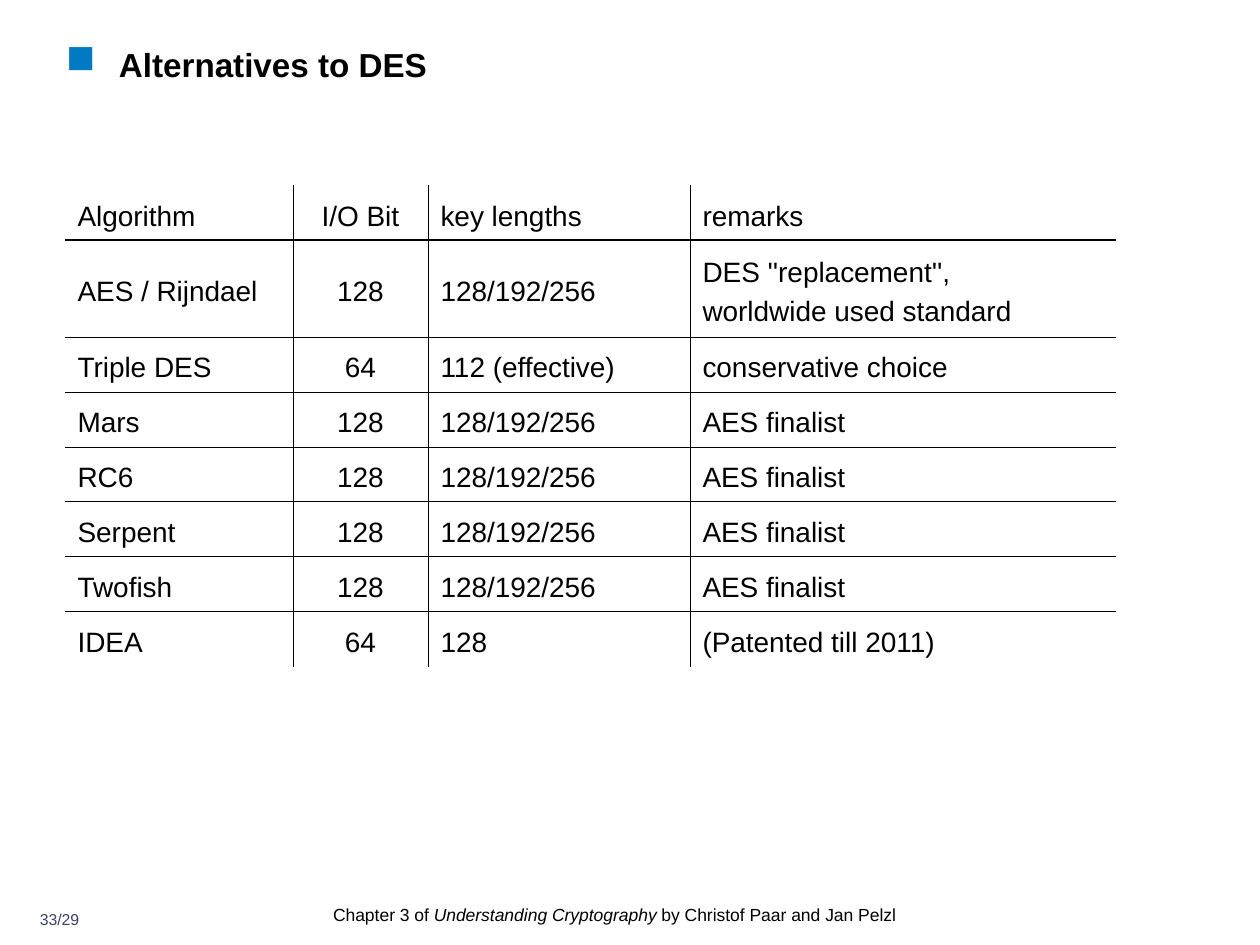
"""Build a slide with a table of alternatives to DES."""
import lxml.etree
import pptx
import pptx.dml.color
import pptx.enum.text
import pptx.oxml.ns
import pptx.util

SCALE = 914400 / 126
ALIGN = pptx.enum.text.PP_ALIGN
MIDDLE = pptx.enum.text.MSO_ANCHOR.MIDDLE
COLS = [228, 135, 262, 426]
ROWS = [
    ["Algorithm", "I/O Bit", "key lengths", "remarks"],
    ["AES / Rijndael", "128", "128/192/256",
     "DES ''replacement'', \vworldwide used standard"],
    ["Triple DES", "64", "112 (effective)", "conservative choice"],
    *[[name, "128", "128/192/256", "AES finalist"]
      for name in ("Mars", "RC6", "Serpent", "Twofish")],
    ["IDEA", "64", "128", "(Patented till 2011)"],
]


def px(num):
    """Turn pixels into EMU."""
    return pptx.util.Emu(round(num * SCALE))


def rgb(code):
    """Turn a hex string into a colour."""
    return pptx.dml.color.RGBColor.from_string(code)


def sub(node, tag, **attrs):
    """Add a DrawingML child element."""
    return lxml.etree.SubElement(node, pptx.oxml.ns.qn("a:" + tag), attrs)


def style(para, size, color="000000", bold=None):
    """Set the font of a paragraph."""
    font = para.font
    font.name, font.size, font.bold = "Arial", pptx.util.Pt(size), bold
    font.color.rgb = rgb(color)


def place(shape, left, top, width, height):
    """Place a text shape with no insets and return its first paragraph."""
    shape.left, shape.top = px(left), px(top)
    shape.width, shape.height = px(width), px(height)
    frame = shape.text_frame
    frame.margin_left = frame.margin_right = 0
    frame.margin_top = frame.margin_bottom = 0
    frame.word_wrap = True
    frame.auto_size = pptx.enum.text.MSO_AUTO_SIZE.NONE
    frame.vertical_anchor = pptx.enum.text.MSO_ANCHOR.TOP
    return frame.paragraphs[0]


def add_title(slide, text):
    """Fill the title and give it a square bullet."""
    para = place(slide.shapes.title, 66, 44, 891, 71)
    para.text, para.alignment = text, ALIGN.LEFT
    para.space_before = pptx.util.Pt(4.8)
    props = para._p.get_or_add_pPr()
    props.set("marL", str(px(53)))
    props.set("indent", str(px(-53)))
    sub(sub(props, "buClr"), "srgbClr", val="007AC2")
    sub(props, "buSzPct", val="120000")
    sub(props, "buChar", char="■")
    style(para, 19, bold=True)


def add_text(slide, box, parts, size, color="000000"):
    """Add a text box whose every second part is italic."""
    para = place(slide.shapes.add_textbox(0, 0, 0, 0), *box)
    for i, part in enumerate(parts):
        run = para.add_run()
        run.text = part
        if i % 2:
            run.font.italic = True
    style(para, size, color)
    return para


def add_edge(cell, side, width):
    """Draw one cell border, or none where the width is zero."""
    props = cell._tc.get_or_add_tcPr()
    line = sub(props, "ln" + side, w=str(pptx.util.Pt(width)))
    if width:
        sub(sub(line, "solidFill"), "srgbClr", val="000000")
    else:
        sub(line, "noFill")


def fill_cell(cell, text, row, col):
    """Write a cell and draw its inner borders."""
    cell.vertical_anchor = MIDDLE
    cell.text = text
    para = cell.text_frame.paragraphs[0]
    para.alignment = ALIGN.CENTER if col == 1 else ALIGN.LEFT
    para.line_spacing, para.space_before = 1.25, pptx.util.Pt(5)
    style(para, 16)
    thin, thick = 0.45, 1.08
    add_edge(cell, "L", thin if col else 0)
    add_edge(cell, "R", thin if col < len(COLS) - 1 else 0)
    add_edge(cell, "T", {0: 0, 1: thick}.get(row, thin))
    add_edge(cell, "B", {0: thick, len(ROWS) - 1: 0}.get(row, thin))
    cell.fill.background()


def add_grid(slide):
    """Add the table of algorithms."""
    highs = [97 if "\v" in row[-1] else 55 for row in ROWS]
    table = slide.shapes.add_table(
        len(ROWS), len(COLS), px(65), px(185),
        px(sum(COLS)), px(sum(highs))).table
    table.first_row = table.horz_banding = False
    for col, width in zip(table.columns, COLS):
        col.width = px(width)
    for r, (texts, high) in enumerate(zip(ROWS, highs)):
        table.rows[r].height = px(high)
        for c, text in enumerate(texts):
            fill_cell(table.cell(r, c), text, r, c)


def main():
    """Build and save the slide."""
    deck = pptx.Presentation()
    deck.slide_width, deck.slide_height = px(1260), px(945)
    slide = deck.slides.add_slide(deck.slide_layouts[5])
    page = add_text(slide, (25, 910, 69, 30), ["33/29"], 9, "394073")
    page.alignment = ALIGN.CENTER
    foot = add_text(slide, (333, 900, 596, 35), [
        "Chapter 3 of ", "Understanding Cryptography",
        " by Christof Paar and Jan Pelzl"], 10)
    foot.line_spacing = 1.2
    add_title(slide, "Alternatives to DES")
    add_grid(slide)
    deck.save("out.pptx")


if __name__ == "__main__":
    main()
